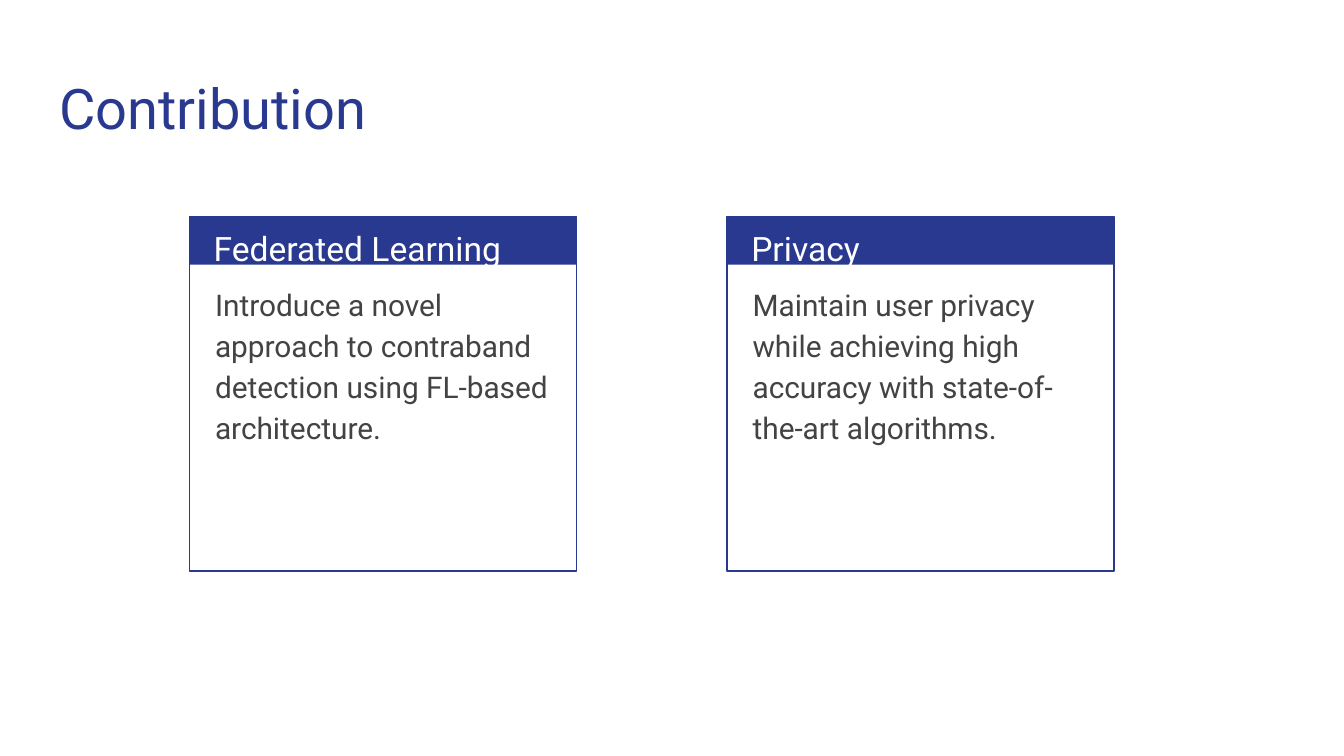
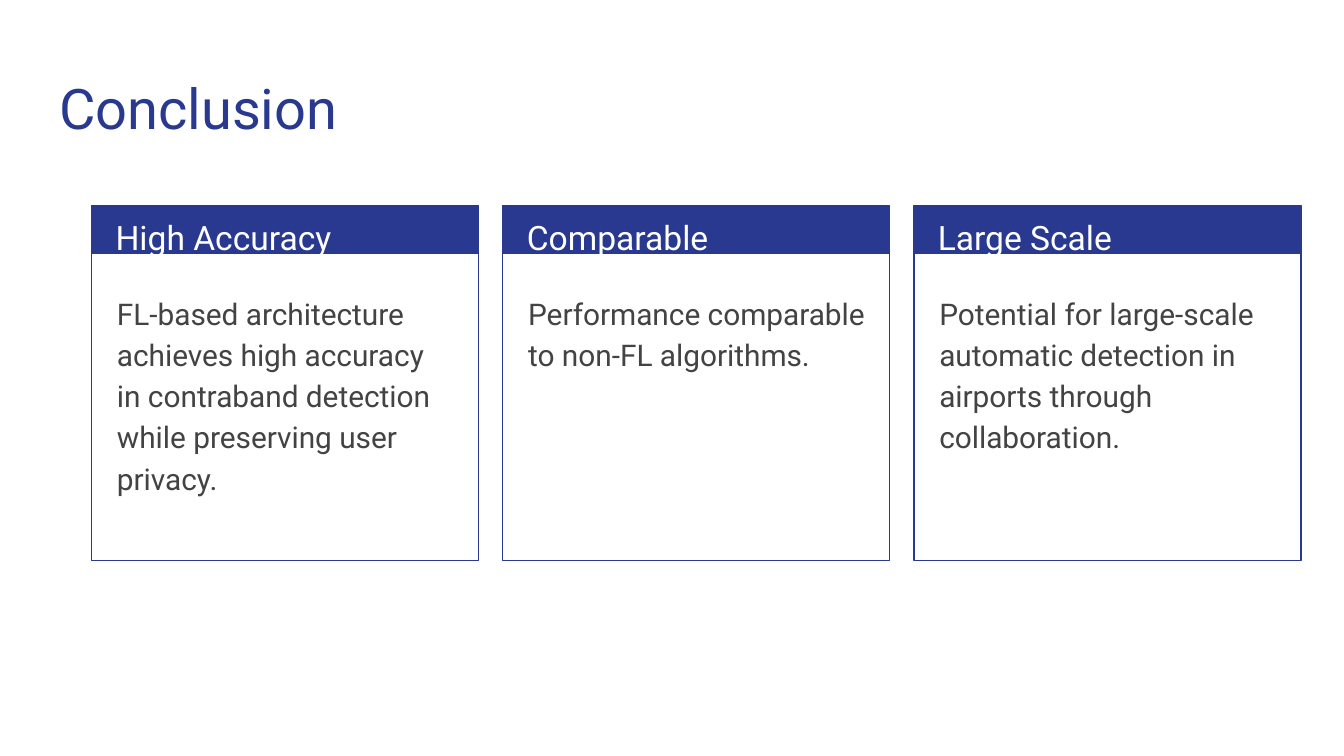
from dataclasses import dataclass

from lxml import etree
from pptx import Presentation
from pptx import util as u
from pptx.dml.color import RGBColor
from pptx.enum import shapes, text
from pptx.oxml.ns import qn

EMU_PER_PX = 9144  # 100 px to the inch


@dataclass(frozen=True)
class Theme:
    font: str = "Roboto"
    accent: RGBColor = RGBColor(0x2A, 0x39, 0x90)
    ink: RGBColor = RGBColor(0x43, 0x43, 0x43)
    paper: RGBColor = RGBColor(0xFF, 0xFF, 0xFF)
    title_size: int = 30
    heading_size: int = 18
    body_size: int = 16
    line_spacing: float = 1.15


@dataclass(frozen=True)
class Card:
    heading: str
    body: str
    body_height: int


def px(length):
    return u.Emu(length * EMU_PER_PX)


class Deck:
    CARD_WIDTH, CARD_HEIGHT, BAND_HEIGHT = 288, 264, 36

    def __init__(self, theme):
        self.theme = theme
        self.presentation = Presentation()
        self.presentation.slide_width = px(1000)
        self.presentation.slide_height = u.Inches(5.625)
        self.layout = self.presentation.slide_layouts.get_by_name("Comparison")

    def start_slide(self, title):
        self.slide = self.presentation.slides.add_slide(self.layout)
        background = self.slide.background.fill
        background.solid()
        background.fore_color.rgb = self.theme.paper
        title_shape, *self.free_bodies = self.slide.placeholders
        self.set_text(title_shape, title, (34, 45, 932, 66),
                      self.theme.title_size, self.theme.accent)

    def set_text(self, shape, words, box, size, color):
        """Place a text shape and give it one plain paragraph."""
        shape.left, shape.top, shape.width, shape.height = map(px, box)
        frame = shape.text_frame
        frame.text = words
        frame.word_wrap = True
        frame.auto_size = text.MSO_AUTO_SIZE.NONE
        frame.vertical_anchor = text.MSO_ANCHOR.TOP
        frame.margin_left = frame.margin_right = px(10)
        frame.margin_top = frame.margin_bottom = px(10)
        paragraph = frame.paragraphs[0]
        paragraph.alignment = text.PP_ALIGN.LEFT
        paragraph.space_before = u.Pt(0)
        paragraph.font.name = self.theme.font
        paragraph.font.size = u.Pt(size)
        paragraph.font.bold = False
        paragraph.font.color.rgb = color
        return paragraph

    def body_text(self, words, box, size, color):
        """Use the next body placeholder, or a text box once all are taken."""
        if self.free_bodies:
            shape = self.free_bodies.pop(0)
            # Bring the placeholder in front of the card behind it.
            shape.element.getparent().append(shape.element)
        else:
            shape = self.slide.shapes.add_textbox(*map(px, box))
        paragraph = self.set_text(shape, words, box, size, color)
        paragraph.line_spacing = self.theme.line_spacing
        properties = paragraph._p.get_or_add_pPr()
        properties.set("marL", "0")
        properties.set("indent", "0")
        properties.find(qn("a:defRPr")).addprevious(etree.Element(qn("a:buNone")))
        return paragraph

    def rectangle(self, parent, box, fill=None, line=None):
        shape = parent.shapes.add_shape(shapes.MSO_SHAPE.RECTANGLE, *map(px, box))
        shape.shadow.inherit = False
        if fill is None:
            shape.fill.background()
        else:
            shape.fill.solid()
            shape.fill.fore_color.rgb = fill
        if line is None:
            shape.line.fill.background()
        else:
            shape.line.color.rgb = line
            shape.line.width = u.Pt(0.75)

    def card(self, card, left, top, body_offset):
        theme = self.theme
        group = self.slide.shapes.add_group_shape()
        self.rectangle(group, (left, top, self.CARD_WIDTH, self.BAND_HEIGHT),
                       fill=theme.accent)
        self.rectangle(group, (left, top, self.CARD_WIDTH, self.CARD_HEIGHT),
                       line=theme.accent)
        self.body_text(card.heading, (left + 8, top - 6, 273, 50),
                       theme.heading_size, theme.paper)
        paragraph = self.body_text(
            card.body, (left + 9, top + body_offset, 271, card.body_height),
            theme.body_size, theme.ink)
        paragraph.space_after = u.Pt(16)

    def card_row(self, cards, left, top, pitch, body_offset):
        for column, card in enumerate(cards):
            self.card(card, left + column * pitch, top, body_offset)


def main():
    deck = Deck(Theme())

    deck.start_slide("Contribution")
    deck.card_row([
        Card("Federated Learning",
             "Introduce a novel approach to contraband detection using "
             "FL-based architecture.", 135),
        Card("Privacy",
             "Maintain user privacy while achieving high accuracy with "
             "state-of-the-art algorithms.", 104),
    ], left=141, top=161, pitch=400, body_offset=38)

    deck.start_slide("Conclusion")
    deck.card_row([
        Card("High Accuracy",
             "FL-based architecture achieves high accuracy in contraband "
             "detection while preserving user privacy.", 135),
        Card("Comparable",
             "Performance comparable to non-FL algorithms.", 104),
        Card("Large Scale",
             "Potential for large-scale automatic detection in airports "
             "through collaboration.", 104),
    ], left=68, top=153, pitch=306, body_offset=53)

    deck.presentation.save("out.pptx")


if __name__ == "__main__":
    main()
